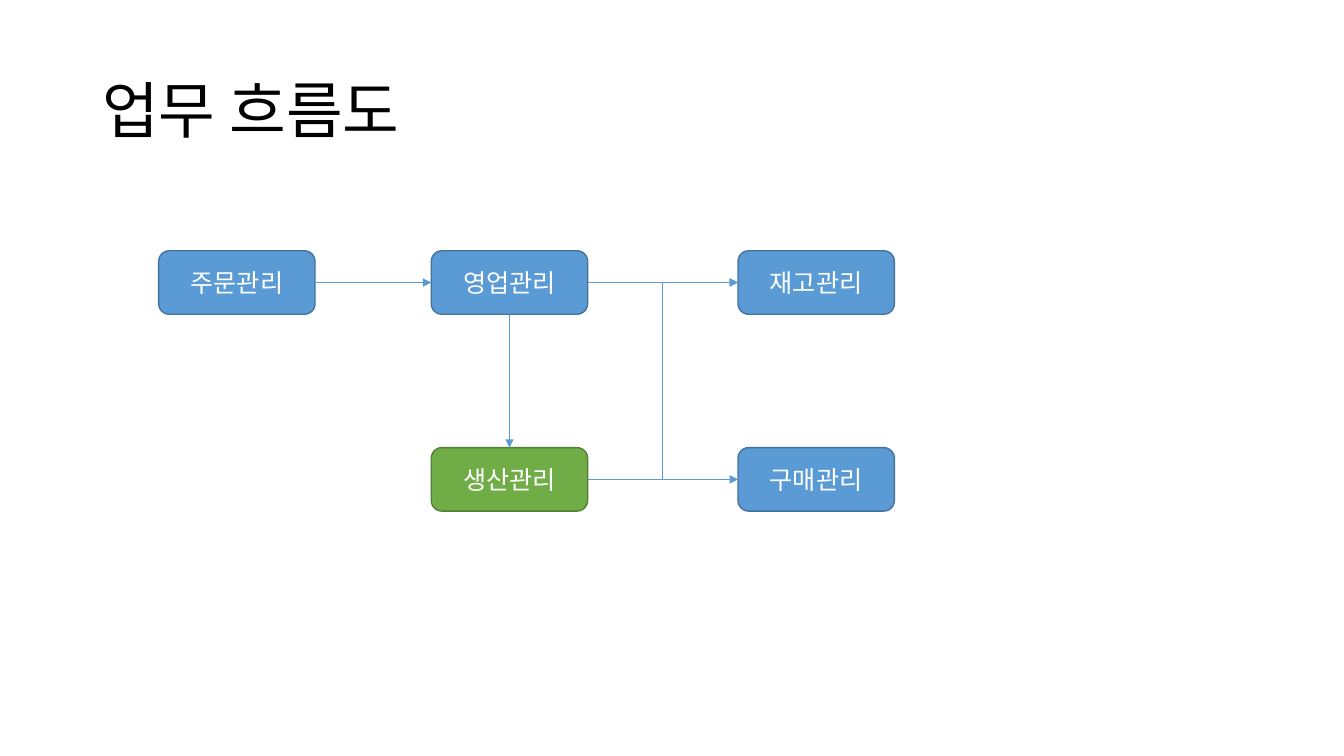
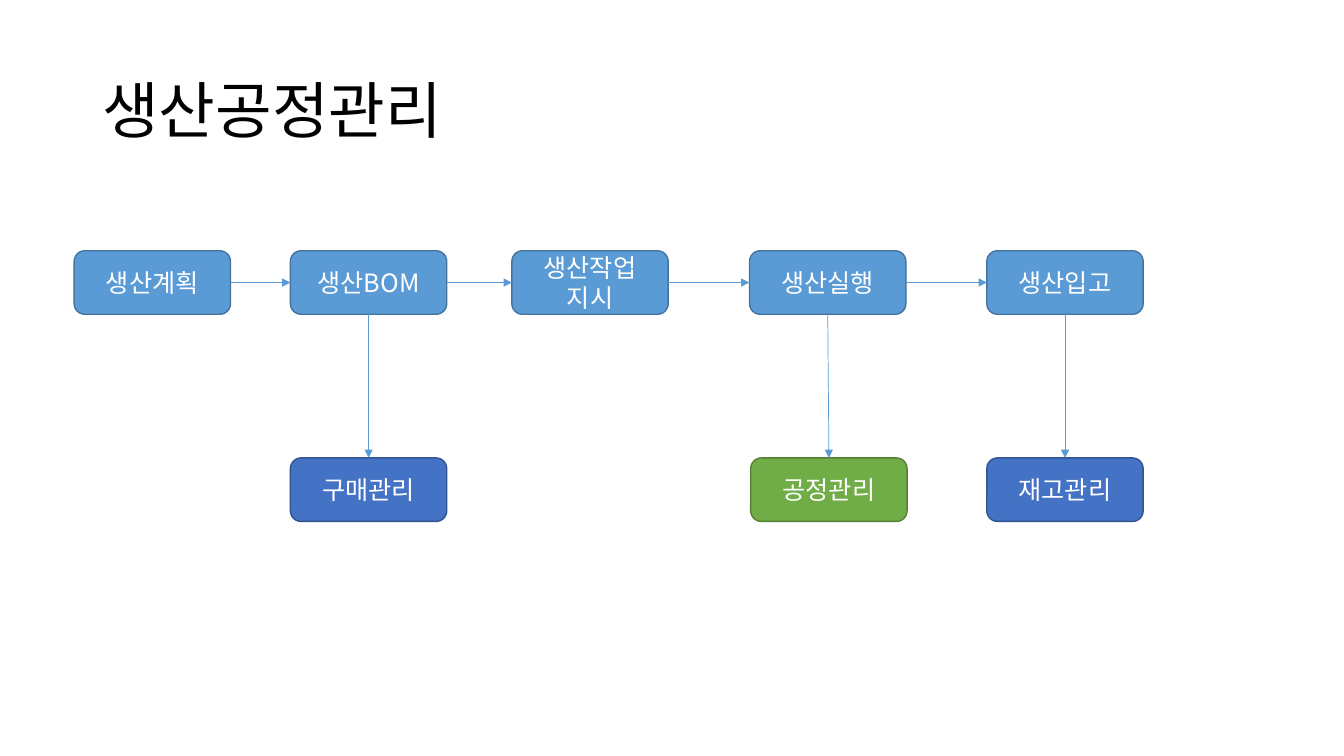
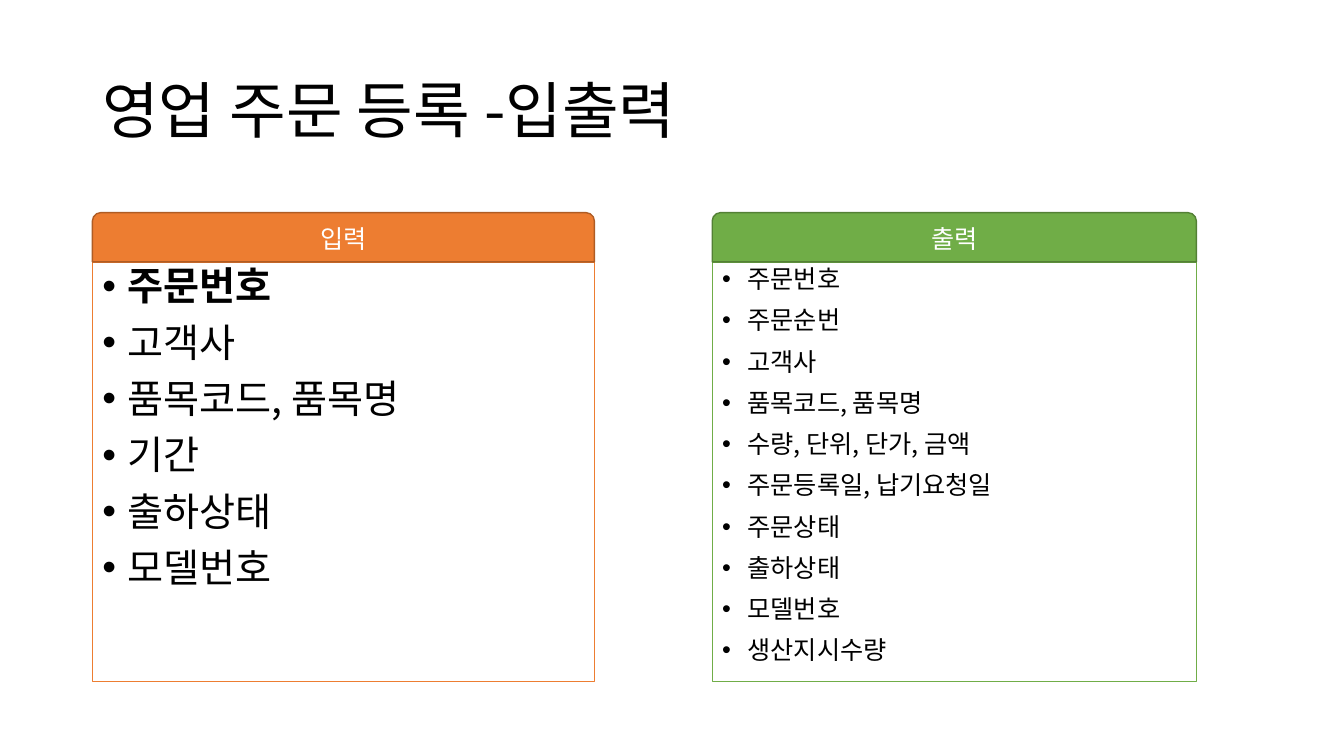
from lxml import etree
from pptx import Presentation
from pptx.dml.color import RGBColor
from pptx.enum.shapes import MSO_CONNECTOR, MSO_SHAPE
from pptx.enum.text import MSO_ANCHOR, PP_ALIGN
from pptx.oxml.ns import qn
from pptx.util import Cm, Pt

ROUNDED, TAB, RECT = (MSO_SHAPE.ROUNDED_RECTANGLE, MSO_SHAPE.ROUND_2_SAME_RECTANGLE,
                      MSO_SHAPE.RECTANGLE)
STRAIGHT, ELBOW = MSO_CONNECTOR.STRAIGHT, MSO_CONNECTOR.ELBOW
TOP, MIDDLE = MSO_ANCHOR.TOP, MSO_ANCHOR.MIDDLE
LEFT, CENTER = PP_ALIGN.LEFT, PP_ALIGN.CENTER

# Connection sites of a rounded rectangle
SITE_TOP, SITE_LEFT, SITE_BOTTOM, SITE_RIGHT = range(4)


def color(value):
    return RGBColor.from_string(value)


class FlowDeck:
    FONT = "Noto Sans CJK KR"
    BLACK, WHITE = "000000", "FFFFFF"
    # Fill and outline pairs
    BLUE = ("5B9BD5", "43739E")
    NAVY = ("4472C4", "325491")
    GREEN = ("70AD47", "538035")
    ORANGE = ("ED7D31", "AF5C24")
    BOX_WIDTH, BOX_HEIGHT = 3.94, 1.6
    HEADER_TOP, HEADER_HEIGHT, BODY_HEIGHT = 5.36, 1.24, 10.57

    def __init__(self):
        self.deck = Presentation()
        self.deck.slide_width, self.deck.slide_height = Cm(33.87), Cm(19.05)
        self.page = None

    def add_page(self, title):
        self.page = self.deck.slides.add_slide(self.deck.slide_layouts[6])
        box = self.page.shapes.add_textbox(Cm(2.33), Cm(1.01), Cm(29.21), Cm(3.68))
        self.put_text(box, [title], 44, self.BLACK, MIDDLE,
                      {"alignment": LEFT, "line_spacing": 0.9})

    def put_text(self, box, lines, size, ink, anchor, layout, bold_lines=()):
        frame = box.text_frame
        frame.word_wrap = True
        frame.vertical_anchor = anchor
        for index, line in enumerate(lines):
            para = frame.paragraphs[0] if index == 0 else frame.add_paragraph()
            for name, value in layout.items():
                setattr(para, name, value)
            span = para.add_run()
            span.text = line
            span.font.color.rgb = color(ink)
            looks = {"name": self.FONT, "size": Pt(size), "bold": line in bold_lines}
            for name, value in looks.items():
                setattr(span.font, name, value)
            east_asian = etree.SubElement(span.font._element, qn("a:ea"))
            east_asian.set("typeface", self.FONT)

    def shape(self, kind, left, top, width, height, fill, outline):
        box = self.page.shapes.add_shape(kind, Cm(left), Cm(top), Cm(width), Cm(height))
        box.shadow.inherit = False
        box.fill.solid()
        box.fill.fore_color.rgb = color(fill)
        box.line.color.rgb = color(outline)
        box.line.width = Pt(1)
        return box

    def step(self, text, left, top, palette=BLUE):
        box = self.shape(ROUNDED, left, top, self.BOX_WIDTH, self.BOX_HEIGHT, *palette)
        self.put_text(box, text.split("\n"), 18, self.WHITE, MIDDLE, {"alignment": CENTER})
        return box

    def arrow(self, start, end, start_site=SITE_RIGHT, end_site=SITE_LEFT, kind=STRAIGHT):
        line = self.page.shapes.add_connector(kind, 0, 0, 0, 0)
        line.begin_connect(start, start_site)
        line.end_connect(end, end_site)
        line.line.color.rgb = color(self.BLUE[0])
        line.line.width = Pt(0.5)
        properties = line._element.spPr
        tail = etree.SubElement(properties.find(qn("a:ln")), qn("a:tailEnd"))
        tail.set("type", "triangle")
        etree.SubElement(properties, qn("a:effectLst"))

    def arrow_down(self, start, end):
        self.arrow(start, end, SITE_BOTTOM, SITE_TOP)

    def panel(self, heading, items, left, width, palette, size, bold_lines=()):
        body = self.shape(RECT, left, self.HEADER_TOP + self.HEADER_HEIGHT,
                          width, self.BODY_HEIGHT, self.WHITE, palette[0])
        self.put_text(body, items, size, self.BLACK, TOP,
                      {"alignment": LEFT, "line_spacing": 0.9, "space_before": Pt(10)},
                      bold_lines)
        for para in body.text_frame.paragraphs:
            self.bullet(para)
        header = self.shape(TAB, left, self.HEADER_TOP, width, self.HEADER_HEIGHT, *palette)
        self.put_text(header, [heading], 18, self.WHITE, MIDDLE, {"alignment": CENTER})

    def bullet(self, para):
        properties = para._p.get_or_add_pPr()
        indent = Cm(0.64)
        properties.set("marL", str(indent))
        properties.set("indent", str(-indent))
        for tag, name, value in (("a:buFont", "typeface", "Arial"), ("a:buChar", "char", "•")):
            etree.SubElement(properties, qn(tag)).set(name, value)


def add_work_flow(flow):
    flow.add_page("업무 흐름도")
    upper, lower = 6.32, 11.28
    order = flow.step("주문관리", 4, upper)
    sales = flow.step("영업관리", 10.87, upper)
    production = flow.step("생산관리", 10.87, lower, flow.GREEN)
    stock = flow.step("재고관리", 18.6, upper)
    purchase = flow.step("구매관리", 18.6, lower)
    flow.arrow(order, sales)
    flow.arrow_down(sales, production)
    flow.arrow(sales, stock)
    flow.arrow(production, stock, kind=ELBOW)
    flow.arrow(production, purchase)


def add_production_process(flow):
    flow.add_page("생산공정관리")
    upper, lower = 6.32, 11.54
    # Main row
    names = ["생산계획", "생산BOM", "생산작업\n지시", "생산실행", "생산입고"]
    lefts = [1.87, 7.32, 12.9, 18.89, 24.87]
    steps = [flow.step(name, left, upper) for name, left in zip(names, lefts)]
    for start, end in zip(steps, steps[1:]):
        flow.arrow(start, end)
    # Linked work below
    for index, name, left, palette in (
        (1, "구매관리", lefts[1], flow.NAVY),
        (3, "공정관리", 18.92, flow.GREEN),
        (4, "재고관리", lefts[4], flow.NAVY),
    ):
        flow.arrow_down(steps[index], flow.step(name, left, lower, palette))


def add_order_entry(flow):
    flow.add_page("영업 주문 등록 -입출력")
    inputs = ["주문번호", "고객사", "품목코드, 품목명", "기간", "출하상태", "모델번호"]
    outputs = ["주문번호", "주문순번", "고객사", "품목코드, 품목명", "수량, 단위, 단가, 금액",
               "주문등록일, 납기요청일", "주문상태", "출하상태", "모델번호", "생산지시수량"]
    flow.panel("입력", inputs, 2.33, 12.65, flow.ORANGE, 28, bold_lines=["주문번호"])
    flow.panel("출력", outputs, 17.95, 12.2, flow.GREEN, 18)


def main():
    flow = FlowDeck()
    add_work_flow(flow)
    add_production_process(flow)
    add_order_entry(flow)
    flow.deck.save("out.pptx")


if __name__ == "__main__":
    main()
